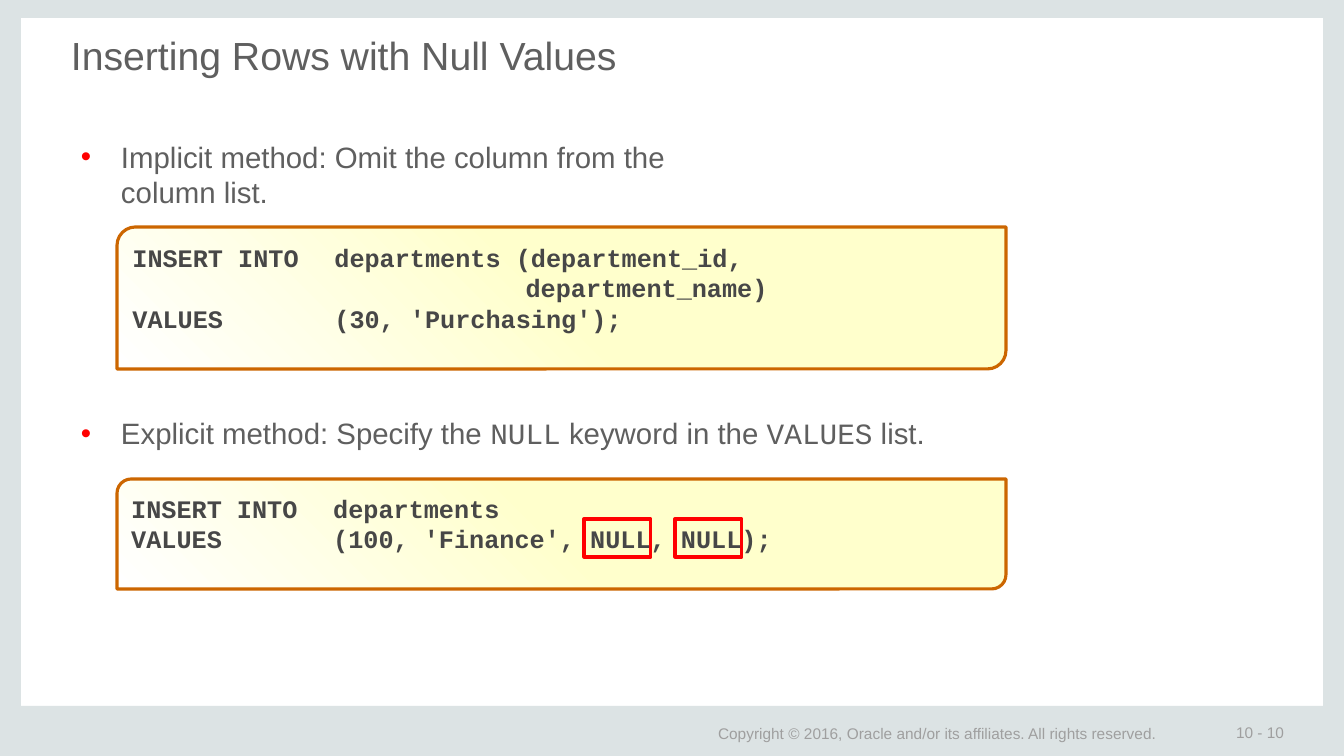
import lxml.etree
import pptx
import pptx.dml.color
import pptx.enum.shapes
import pptx.enum.text
import pptx.oxml.ns
import pptx.util

PX = 914400 / 100.8
THEME = {
    "sans": "Arial", "mono": "Courier New",
    "title_size": 28, "body_size": 21, "code_size": 18, "footer_size": 11,
    "text": "5F5F5F", "code": "474747", "footer": "9F9F9F",
    "band": "DCE3E4", "accent": "FF0000", "code_line": "CC6600",
    "code_gradient": [(0, "FFFFCC"), (50, "FFFFCC"), (100, "FFFFFF")],
}
SHAPES = pptx.enum.shapes.MSO_SHAPE
ANCHOR = pptx.enum.text.MSO_ANCHOR
ALIGN = pptx.enum.text.PP_ALIGN
qn = pptx.oxml.ns.qn


def px(*lengths):
    """Turn lengths in px into a list of EMU lengths."""
    return [pptx.util.Emu(round(length * PX)) for length in lengths]


def add_run(paragraph, text, size, color, font="sans", bold=False):
    run = paragraph.add_run()
    run.text = text
    run.font.name = THEME[font]
    run.font.size = pptx.util.Pt(THEME[size])
    run.font.bold = bold
    run.font.color.rgb = pptx.dml.color.RGBColor.from_string(THEME[color])


prs = pptx.Presentation()
prs.slide_width, prs.slide_height = px(1344, 756)
slide = prs.slides.add_slide(prs.slide_layouts[1])

# Frame around the page
for bounds in [(1323, -3, 21, 756), (0, -3, 21, 755), (0, 706, 1344, 50), (0, -3, 1344, 21)]:
    band = slide.shapes.add_shape(SHAPES.RECTANGLE, *px(*bounds))
    band.shadow.inherit = False
    band.fill.solid()
    band.fill.fore_color.rgb = pptx.dml.color.RGBColor.from_string(THEME["band"])
    band.line.fill.background()

# Footer
for text, bounds in [
    ("10 - 10", (1223, 722, 119, 20)),
    ("Copyright © 2016, Oracle and/or its affiliates. All rights reserved.", (705, 722, 538, 22)),
]:
    footer = slide.shapes.add_textbox(*px(*bounds)).text_frame
    footer.word_wrap = True
    footer.vertical_anchor = ANCHOR.MIDDLE
    footer.margin_left, footer.margin_top, footer.margin_right, footer.margin_bottom = px(13, 7, 13, 7)
    add_run(footer.paragraphs[0], text, "footer_size", "footer")

# Title and bullets
title, body = slide.shapes.title, slide.placeholders[1]
for holder, bounds in [(title, (69, 29, 1207, 97)), (body, (69, 137, 1207, 316))]:
    holder.left, holder.top, holder.width, holder.height = px(*bounds)
    frame = holder.text_frame
    frame.auto_size = pptx.enum.text.MSO_AUTO_SIZE.NONE
    frame.word_wrap = True
    frame.vertical_anchor = ANCHOR.TOP
    frame.margin_left, frame.margin_top, frame.margin_right, frame.margin_bottom = px(2, 2, 2, 2)

heading = title.text_frame.paragraphs[0]
heading.alignment = ALIGN.LEFT
add_run(heading, "Inserting Rows with Null Values", "title_size", "text")

implicit = body.text_frame.paragraphs[0]
explicit = body.text_frame.add_paragraph()
for method, space_before in [(implicit, 0), (explicit, 147)]:
    margin, hanging = px(50, -40)
    props = method._p.get_or_add_pPr()
    props.set("marL", str(margin))
    props.set("indent", str(hanging))
    bullet_color = lxml.etree.SubElement(props, qn("a:buClr"))
    lxml.etree.SubElement(bullet_color, qn("a:srgbClr"), val=THEME["accent"])
    lxml.etree.SubElement(props, qn("a:buFont"), typeface=THEME["sans"])
    lxml.etree.SubElement(props, qn("a:buChar"), char="•")
    method.space_before = pptx.util.Pt(space_before)

add_run(implicit, "Implicit method: Omit the column from the", "body_size", "text")
implicit.add_line_break()
add_run(implicit, "column list.", "body_size", "text")
for text, font in [
    ("Explicit method: Specify the ", "sans"), ("NULL", "mono"),
    (" keyword in the ", "sans"), ("VALUES", "mono"), (" list.", "sans"),
]:
    add_run(explicit, text, "body_size", "text", font)

# SQL examples
for top, height, statement in [
    (479, 110, ["INSERT INTO\tdepartments",
                "VALUES\t\t(100, 'Finance', NULL, NULL);"]),
    (227, 142, ["INSERT INTO\tdepartments (department_id,",
                "                          department_name)",
                "VALUES\t\t(30, 'Purchasing');"]),
]:
    panel = slide.shapes.add_shape(SHAPES.ROUND_2_DIAG_RECTANGLE, *px(117, top, 889, height))
    panel.shadow.inherit = False
    panel.adjustments[0], panel.adjustments[1] = 0.13, 0
    panel.fill.gradient()
    panel.fill.gradient_angle = 225
    stops = panel._element.spPr.find(".//" + qn("a:gsLst"))
    stops.clear()
    for percent, color in THEME["code_gradient"]:
        stop = lxml.etree.SubElement(stops, qn("a:gs"), pos=str(percent * 1000))
        lxml.etree.SubElement(stop, qn("a:srgbClr"), val=color)
    panel.line.color.rgb = pptx.dml.color.RGBColor.from_string(THEME["code_line"])
    panel.line.width = pptx.util.Pt(2.25)
    code = panel.text_frame
    code.word_wrap = True
    code.vertical_anchor = ANCHOR.TOP
    code.margin_left, code.margin_top, code.margin_right, code.margin_bottom = px(10, 10, 1, 0)
    for index, text in enumerate(statement):
        line = code.add_paragraph() if index else code.paragraphs[0]
        tabs = lxml.etree.SubElement(line._p.get_or_add_pPr(), qn("a:tabLst"))
        for position in px(101, 202):
            lxml.etree.SubElement(tabs, qn("a:tab"), pos=str(position), algn="l")
        line.alignment = ALIGN.LEFT
        add_run(line, text, "code_size", "code", "mono", bold=True)

# Marks around the NULL keywords
for left in (584, 675):
    null_mark = slide.shapes.add_shape(SHAPES.RECTANGLE, *px(left, 519, 67, 38))
    null_mark.shadow.inherit = False
    null_mark.fill.background()
    null_mark.line.color.rgb = pptx.dml.color.RGBColor.from_string(THEME["accent"])
    null_mark.line.width = pptx.util.Pt(2.25)

prs.save("out.pptx")
